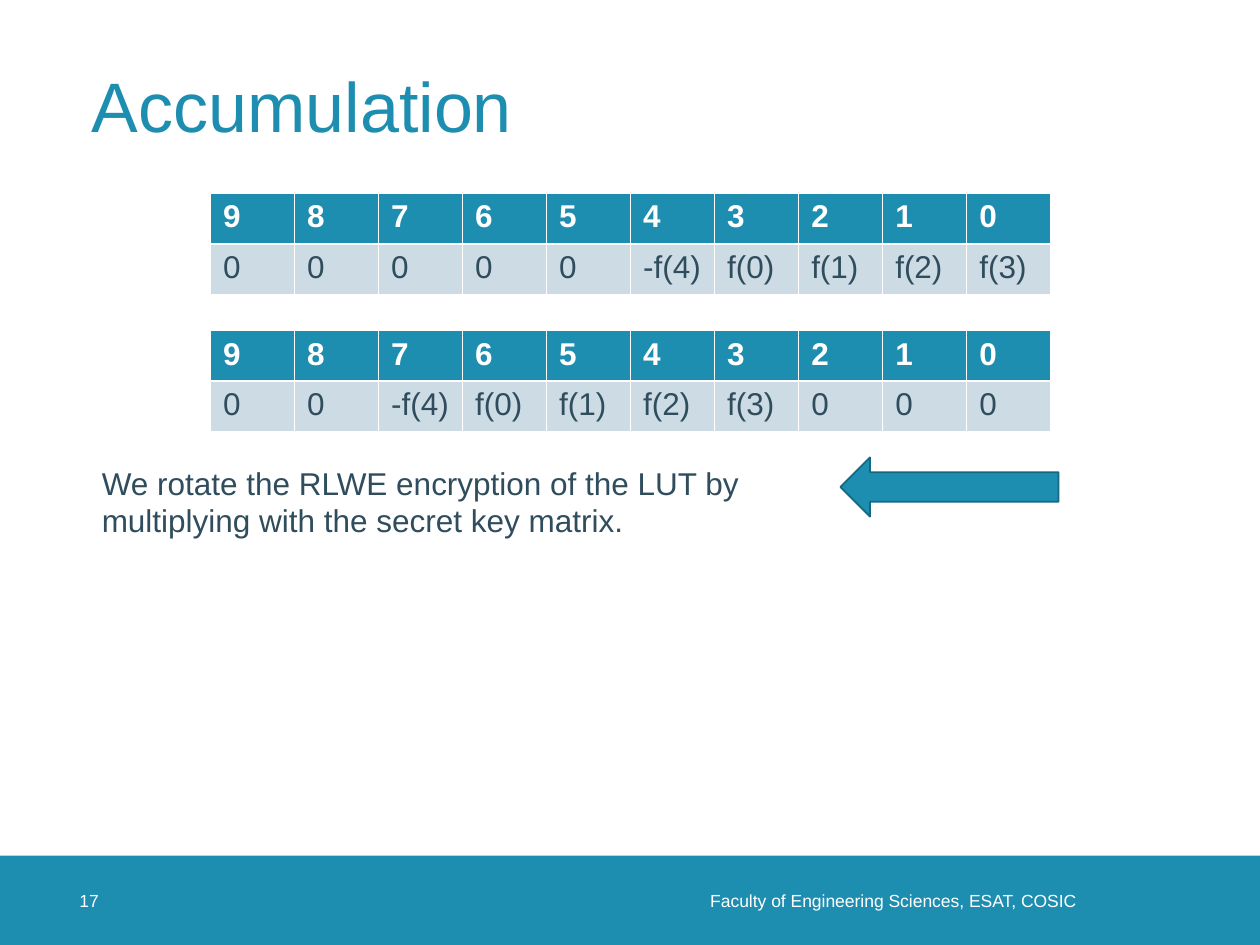
from pptx import Presentation
from pptx.dml.color import RGBColor
from pptx.enum.shapes import MSO_SHAPE
from pptx.enum.text import MSO_ANCHOR, PP_ALIGN
from pptx.util import Inches, Pt

RECTANGLE = MSO_SHAPE.RECTANGLE
RIGHT_ARROW = MSO_SHAPE.RIGHT_ARROW
MIDDLE = MSO_ANCHOR.MIDDLE
LEFT = PP_ALIGN.LEFT
RIGHT = PP_ALIGN.RIGHT

TEAL = RGBColor(0x1D, 0x8D, 0xB0)
DARK_TEAL = RGBColor(0x15, 0x68, 0x82)
SLATE = RGBColor(0x2F, 0x4D, 0x5D)
PALE_BLUE = RGBColor(0xCD, 0xDB, 0xE4)
WHITE = RGBColor(0xFF, 0xFF, 0xFF)

FONT = "Arial"
TITLE_ONLY = 5
ROTATION = 3
LOOKUP_VALUES = ["0"] * 5 + ["-f(4)", "f(0)", "f(1)", "f(2)", "f(3)"]


def to_inches(box):
    return [Inches(length) for length in box]


def format_text(text_frame, size, color, bold=False, align=LEFT):
    for paragraph in text_frame.paragraphs:
        paragraph.alignment = align
        for run in paragraph.runs:
            run.font.name = FONT
            run.font.size = Pt(size)
            run.font.bold = bold
            run.font.color.rgb = color


def add_text(slide, box, text, size, color, align=LEFT):
    text_frame = slide.shapes.add_textbox(*to_inches(box)).text_frame
    text_frame.word_wrap = True
    text_frame.text = text
    format_text(text_frame, size, color, align=align)
    return text_frame


def add_block(slide, preset, box, color):
    shape = slide.shapes.add_shape(preset, *to_inches(box))
    shape.shadow.inherit = False
    shape.fill.solid()
    shape.fill.fore_color.rgb = color
    shape.line.fill.background()
    return shape


def add_footer(slide, box):
    left, top, width, height = box
    add_block(slide, RECTANGLE, box, TEAL)
    faculty = add_text(slide, (left + 4.7, top, 4.04, height),
                       "Faculty of Engineering Sciences, ESAT, COSIC", 10, WHITE, RIGHT)
    number = add_text(slide, (left + 0.63, top, 0.71, height), "17", 10, WHITE)
    for text_frame in (faculty, number):
        text_frame.vertical_anchor = MIDDLE
        text_frame.margin_left = text_frame.margin_right = 0
        text_frame.margin_top = text_frame.margin_bottom = 0
    faculty.margin_right = Inches(0.2)


def place_title(slide, box, text):
    title = slide.shapes.title
    title.left, title.top, title.width, title.height = to_inches(box)
    text_frame = title.text_frame
    text_frame.text = text
    text_frame.vertical_anchor = MIDDLE
    text_frame.paragraphs[0].line_spacing = 0.9
    format_text(text_frame, 40, TEAL)


def add_lookup_table(slide, box, values):
    count = len(values)
    positions = [str(position) for position in reversed(range(count))]
    table = slide.shapes.add_table(2, count, *to_inches(box)).table
    styles = [(positions, TEAL, WHITE, True), (values, PALE_BLUE, SLATE, False)]
    for row, (texts, fill, color, bold) in enumerate(styles):
        for column, text in enumerate(texts):
            cell = table.cell(row, column)
            cell.fill.solid()
            cell.fill.fore_color.rgb = fill
            cell.text_frame.text = text
            format_text(cell.text_frame, 18, color, bold)


def add_explanation(slide, box):
    left, top, width, height = box
    arrow = add_block(slide, RIGHT_ARROW, (left + 5.96, top, 1.73, 0.47), TEAL)
    arrow.rotation = 180
    arrow.line.color.rgb = DARK_TEAL
    arrow.line.width = Pt(1)
    add_text(slide, (left, top, 6.33, height),
             "We rotate the RLWE encryption of the LUT by "
             "multiplying with the secret key matrix.", 18, SLATE)


def main():
    presentation = Presentation()
    presentation.slide_width = Inches(10)
    presentation.slide_height = Inches(7.5)
    slide = presentation.slides.add_slide(presentation.slide_layouts[TITLE_ONLY])

    add_footer(slide, (0, 6.79, 10, 0.71))
    place_title(slide, (0.63, 0.24, 8.74, 1.26), "Accumulation")
    rotated_values = LOOKUP_VALUES[ROTATION:] + LOOKUP_VALUES[:ROTATION]
    for top, values in ((1.53, LOOKUP_VALUES), (2.62, rotated_values)):
        add_lookup_table(slide, (1.67, top, 6.67, 0.81), values)
    add_explanation(slide, (0.71, 3.63, 7.69, 0.71))

    presentation.save("out.pptx")


if __name__ == "__main__":
    main()
